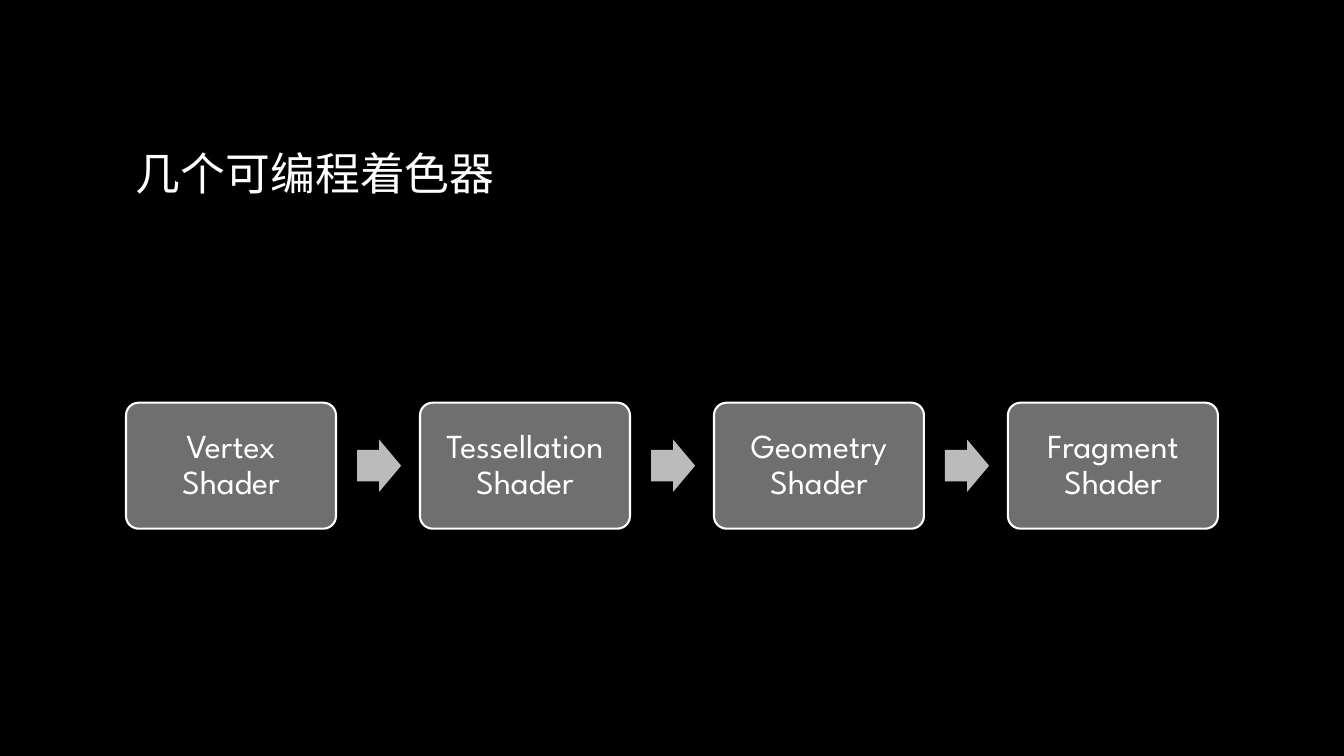
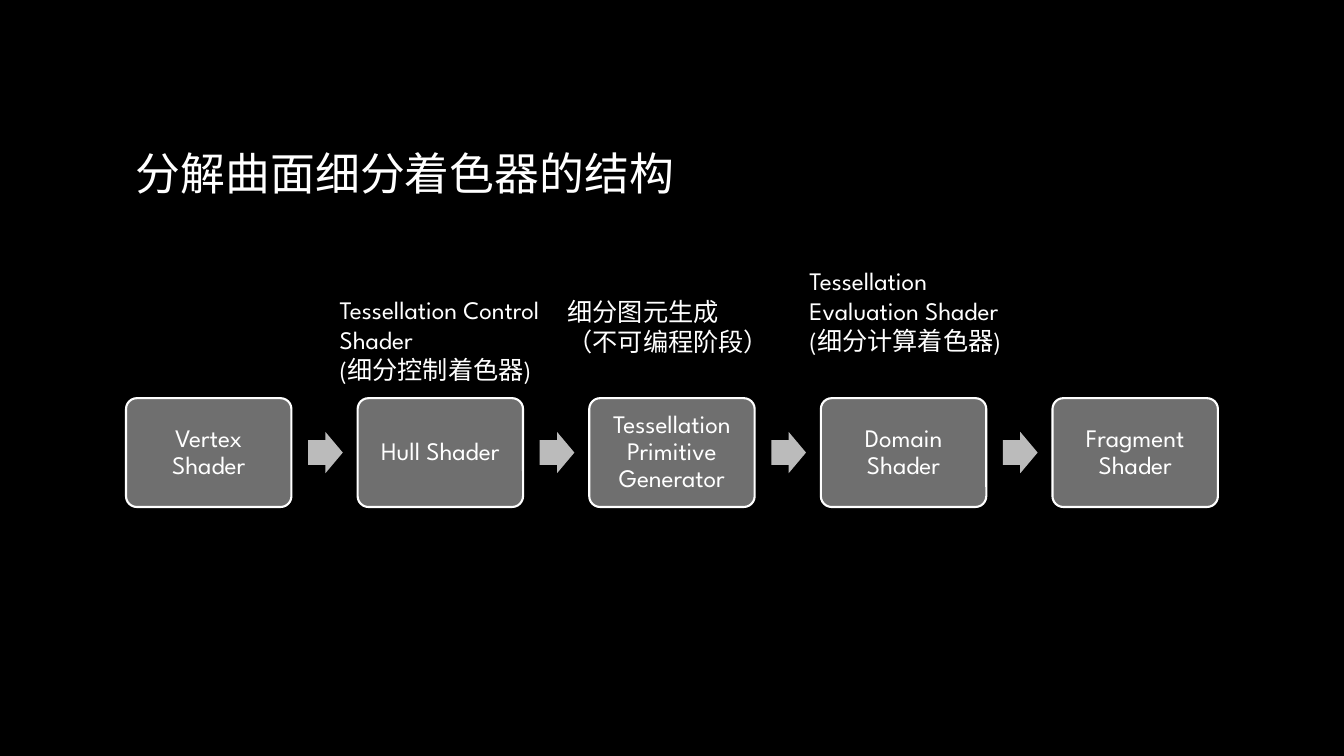
import pptx
import pptx.dml.color
import pptx.enum.lang
import pptx.enum.shapes
import pptx.enum.text
import pptx.util

BLACK = pptx.dml.color.RGBColor(0x00, 0x00, 0x00)
WHITE = pptx.dml.color.RGBColor(0xFF, 0xFF, 0xFF)
BOX_GRAY = pptx.dml.color.RGBColor(0x6F, 0x6F, 0x6F)
ARROW_GRAY = pptx.dml.color.RGBColor(0xBB, 0xBB, 0xBB)
FONT = "League Spartan"

SLIDE_W, SLIDE_H = 13.33, 7.5
MARGIN = 1.25
CONTENT_W = SLIDE_W - 2 * MARGIN
GAP = 0.4
CAPTION_W = 2.26

SHAPE = pptx.enum.shapes.MSO_SHAPE
ALIGN = pptx.enum.text.PP_ALIGN
MIDDLE = pptx.enum.text.MSO_ANCHOR.MIDDLE
CHINESE = pptx.enum.lang.MSO_LANGUAGE_ID.SIMPLIFIED_CHINESE


def inches(*lengths):
    return [pptx.util.Inches(n) for n in lengths]


def write(tf, lines, size, align=ALIGN.LEFT, spacing=1.0):
    tf.word_wrap = True
    for i, line in enumerate(lines):
        p = tf.paragraphs[0] if i == 0 else tf.add_paragraph()
        p.alignment = align
        p.line_spacing = spacing
        p.font.name = FONT
        p.font.size = pptx.util.Pt(size)
        p.font.color.rgb = WHITE
        p.font.language_id = CHINESE
        p.add_run().text = line


def add_shape(s, kind, left, top, width, height, color):
    sp = s.shapes.add_shape(kind, *inches(left, top, width, height))
    sp.shadow.inherit = False
    sp.fill.solid()
    sp.fill.fore_color.rgb = color
    sp.line.fill.background()
    return sp


def add_box(s, left, top, width, height, text, size):
    sp = add_shape(s, SHAPE.ROUNDED_RECTANGLE, left, top, width, height, BOX_GRAY)
    sp.adjustments[0] = 0.1
    sp.line.color.rgb = WHITE
    sp.line.width = pptx.util.Pt(1.5)
    tf = sp.text_frame
    tf.vertical_anchor = MIDDLE
    inset = pptx.util.Pt(size * 0.3)
    tf.margin_left = tf.margin_right = tf.margin_top = tf.margin_bottom = inset
    write(tf, [text], size, ALIGN.CENTER, 0.9)


def add_arrow(s, left, middle, width, height):
    sp = add_shape(s, SHAPE.RIGHT_ARROW, left, middle - height / 2, width, height, ARROW_GRAY)
    sp.adjustments[0] = 0.6
    sp.adjustments[1] = 0.5


def add_pipeline(s, stages, middle, height, size):
    width = CONTENT_W / (len(stages) + GAP * (len(stages) - 1))
    for i, stage in enumerate(stages):
        left = MARGIN + i * width * (1 + GAP)
        if i:
            add_arrow(s, left - 0.3 * width, middle, 0.21 * width, 0.25 * width)
        add_box(s, left, middle - height / 2, width, height, stage, size)


def add_caption(s, left, top, lines):
    sp = s.shapes.add_textbox(*inches(left, top, CAPTION_W, 1))
    write(sp.text_frame, lines, 18)


def add_slide(prs, title):
    s = prs.slides.add_slide(prs.slide_layouts[6])
    s.background.fill.solid()
    s.background.fill.fore_color.rgb = BLACK
    sp = s.shapes.add_textbox(*inches(MARGIN, 0.67, CONTENT_W, 2.08))
    sp.text_frame.vertical_anchor = MIDDLE
    write(sp.text_frame, [title], 32)
    return s


def main():
    prs = pptx.Presentation()
    prs.slide_width, prs.slide_height = inches(SLIDE_W, SLIDE_H)

    s = add_slide(prs, "几个可编程着色器")
    stages = ["Vertex Shader", "Tessellation Shader", "Geometry Shader", "Fragment Shader"]
    add_pipeline(s, stages, 4.62, 1.25, 24)

    s = add_slide(prs, "分解曲面细分着色器的结构")
    stages = ["Vertex Shader", "Hull Shader", "Tessellation Primitive Generator",
              "Domain Shader", "Fragment Shader"]
    add_pipeline(s, stages, 4.49, 1.08, 18)
    add_caption(s, 3.27, 2.87, ["Tessellation Control Shader", "(细分控制着色器)"])
    add_caption(s, 5.53, 2.89, ["细分图元生成", "（不可编程阶段）"])
    add_caption(s, 7.93, 2.58, ["Tessellation Evaluation Shader", "(细分计算着色器)"])

    prs.save("out.pptx")


if __name__ == "__main__":
    main()
